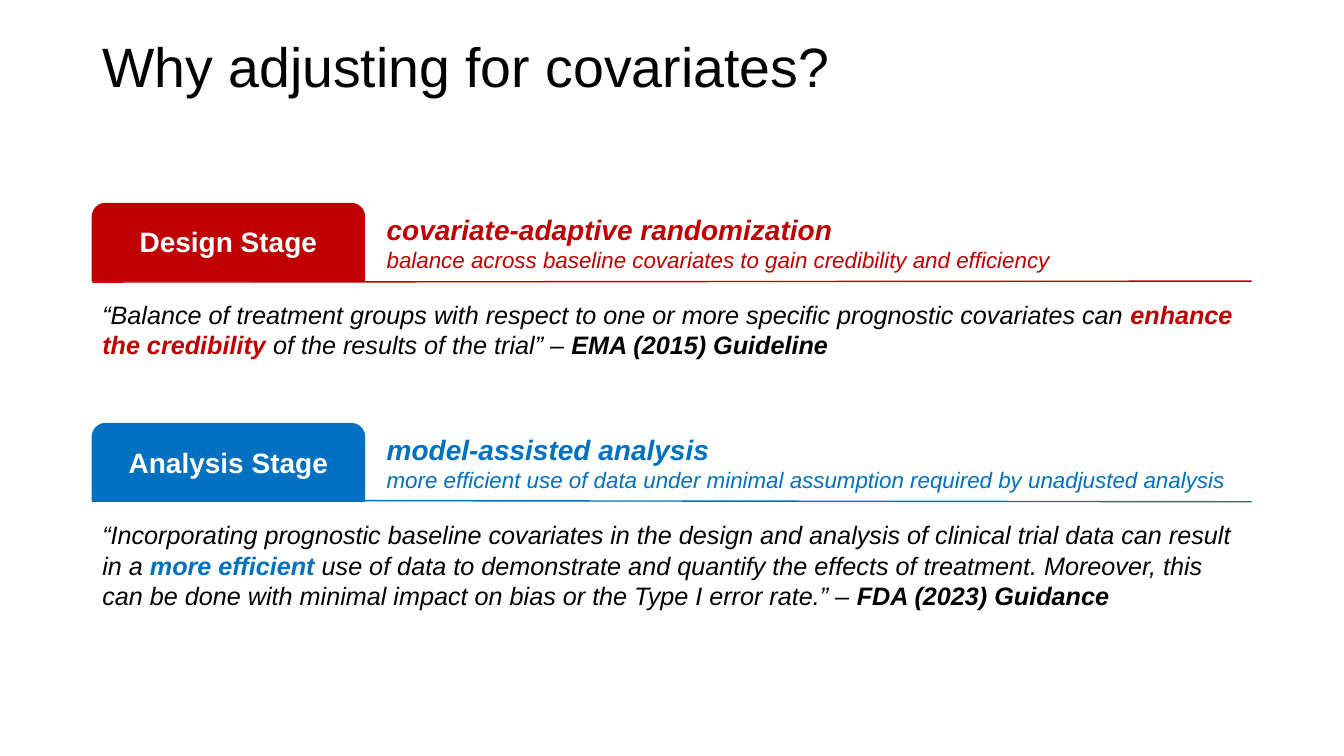
from dataclasses import dataclass

from lxml import etree
from pptx import Presentation
from pptx import util as u
from pptx.dml.color import RGBColor
from pptx.enum import shapes, text
from pptx.oxml import ns

COLORS = {"red": "C00000", "blue": "0070C0", "black": "000000", "white": "FFFFFF"}
LEFT, WIDTH = 66, 828
TAB_WIDTH, TAB_HEIGHT = 194.4, 55.4


@dataclass
class Stage:
    top: float
    color: str
    name: str
    method: str
    benefit: str
    quote: tuple[str, str, str]
    guideline: str
    rule_start: float
    rule_end: float


STAGES = [
    Stage(
        145.4, "red", "Design Stage", "covariate-adaptive randomization",
        "balance across baseline covariates to gain credibility and efficiency",
        ("“Balance of treatment groups with respect to one or more specific "
         "prognostic covariates can ",
         "enhance the credibility",
         " of the results of the trial” – "),
        "EMA (2015) Guideline", 201.5, 200.8,
    ),
    Stage(
        302.6, "blue", "Analysis Stage", "model-assisted analysis",
        "more efficient use of data under minimal assumption required by unadjusted analysis",
        ("“Incorporating prognostic baseline covariates in the design and analysis "
         "of clinical trial data can result in a ",
         "more efficient",
         " use of data to demonstrate and quantify the effects of treatment. Moreover, "
         "this can be done with minimal impact on bias or the Type I error rate.” – "),
        "FDA (2023) Guidance", 357.4, 358.4,
    ),
]


def rgb(color: str) -> RGBColor:
    return RGBColor.from_string(COLORS[color])


def add_span(para, content: str, *, size: float, color: str = "black",
             bold: bool = False, italic: bool = False) -> None:
    span = para.add_run()
    span.text = content
    span.font.name = "Arial"
    span.font.size = u.Pt(size)
    span.font.bold = bold
    span.font.italic = italic
    span.font.color.rgb = rgb(color)


def add_box(parent, left: float, top: float, width: float, height: float, *,
            middle: bool = False, inset: float = 7.2):
    box = parent.add_textbox(u.Pt(left), u.Pt(top), u.Pt(width), u.Pt(height))
    frame = box.text_frame
    frame.word_wrap = True
    frame.margin_left = u.Pt(inset)
    frame.vertical_anchor = text.MSO_ANCHOR.MIDDLE if middle else text.MSO_ANCHOR.TOP
    return frame


def add_tab(parent, stage: Stage) -> None:
    tab = parent.add_shape(shapes.MSO_SHAPE.ROUND_2_SAME_RECTANGLE, u.Pt(LEFT),
                           u.Pt(stage.top), u.Pt(TAB_WIDTH), u.Pt(TAB_HEIGHT))
    tab.adjustments[0] = 0.17
    tab.shadow.inherit = False
    tab.fill.solid()
    tab.fill.fore_color.rgb = rgb(stage.color)
    tab.line.color.rgb = rgb(stage.color)
    tab.line.width = u.Pt(1)
    frame = tab.text_frame
    frame.word_wrap = True
    frame.vertical_anchor = text.MSO_ANCHOR.MIDDLE
    frame.margin_top = u.Pt(4.5)
    frame.margin_bottom = u.Pt(5)
    para = frame.paragraphs[0]
    para.alignment = text.PP_ALIGN.CENTER
    para.line_spacing = 0.9
    add_span(para, stage.name, size=20, color="white", bold=True)


def add_rule(parent, stage: Stage) -> None:
    rule = parent.add_connector(shapes.MSO_CONNECTOR.STRAIGHT, u.Pt(LEFT),
                                u.Pt(stage.rule_start), u.Pt(LEFT + WIDTH),
                                u.Pt(stage.rule_end))
    rule.line.color.rgb = rgb(stage.color)
    rule.line.width = u.Pt(1)
    properties = rule._element.find(ns.qn("p:spPr"))
    etree.SubElement(properties, ns.qn("a:effectLst"))


def add_stage(page, stage: Stage) -> None:
    group = page.shapes.add_group_shape().shapes
    add_tab(group, stage)

    heading = add_box(group, LEFT + TAB_WIDTH, stage.top, WIDTH - TAB_WIDTH, TAB_HEIGHT,
                      middle=True, inset=15.8)
    add_span(heading.paragraphs[0], stage.method, size=20, color=stage.color,
             bold=True, italic=True)
    add_span(heading.add_paragraph(), stage.benefit, size=16, color=stage.color, italic=True)

    add_rule(group, stage)

    para = add_box(group, LEFT, stage.top + 65, WIDTH, 75.5).paragraphs[0]
    opening, emphasis, closing = stage.quote
    add_span(para, opening, size=18, italic=True)
    add_span(para, emphasis, size=18, color=stage.color, bold=True, italic=True)
    add_span(para, closing, size=18, italic=True)
    add_span(para, stage.guideline, size=18, bold=True, italic=True)


def main() -> None:
    deck = Presentation()
    deck.slide_width, deck.slide_height = u.Pt(960), u.Pt(540)
    page = deck.slides.add_slide(deck.slide_layouts[6])
    title = add_box(page.shapes, LEFT, 26, WIDTH, 48, middle=True).paragraphs[0]
    title.line_spacing = 0.9
    add_span(title, "Why adjusting for covariates?", size=39.6)
    for stage in STAGES:
        add_stage(page, stage)
    deck.save("out.pptx")


if __name__ == "__main__":
    main()
